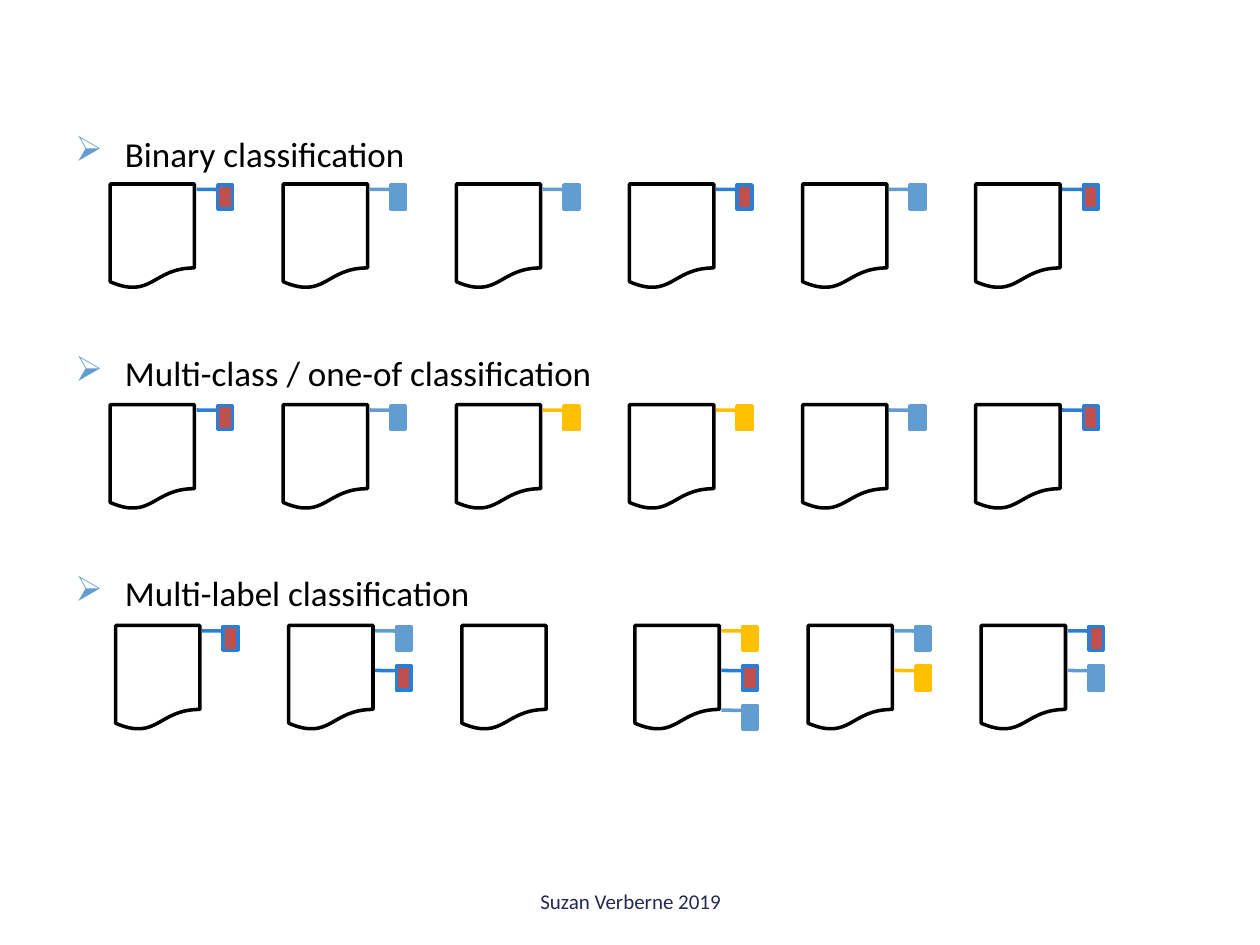
from lxml import etree
from pptx import Presentation
from pptx.dml.color import RGBColor
from pptx.enum import shapes, text
from pptx.oxml import ns
from pptx.util import Cm, Pt

COLORS = {"black": "000000", "white": "FFFFFF", "navy": "242852", "sky": "629DD1",
          "blue": "297FD5", "red": "C0504D", "gold": "FFC000"}
TAGS = {"A": ("red", "blue"), "B": ("sky", "sky"), "C": ("gold", "gold")}
ROWS = [
    ("Binary classification", 2.22, ["A", "B", "B", "A", "B", "A"]),
    ("Multi-class / one-of classification", 2.22, ["A", "B", "C", "C", "B", "A"]),
    ("Multi-label classification", 2.33, ["A", "BA", "", "CAB", "BC", "AB"]),
]
FOOTER = "Suzan Verberne 2019"

ROW_TOP, ROW_PITCH, COLUMN_PITCH = 3.71, 4.45, 3.49
DOCUMENT_SIZE, TAG_SIZE = (1.7, 2.11), (0.3, 0.48)
TAG_LEFT, TAG_TOP, TAG_PITCH = 2.17, 0.02, 0.8
TAG_LEADER = [0.19, -0.08, 0.19, -0.17, 0.18, -1.42]


def color(name):
    return RGBColor.from_string(COLORS[name])


def add_bullet(para, symbol, tint, indent):
    properties = para._p.get_or_add_pPr()
    properties.set("marL", str(Cm(indent)))
    properties.set("indent", str(-Cm(indent)))
    holder = etree.SubElement(properties, ns.qn("a:buClr"))
    etree.SubElement(holder, ns.qn("a:srgbClr"), val=COLORS[tint])
    etree.SubElement(properties, ns.qn("a:buChar"), char=symbol)


def add_text(page, lines, area, size, tint, align=text.PP_ALIGN.LEFT,
             anchor=text.MSO_ANCHOR.TOP, bullet=None, gap=0):
    frame = page.shapes.add_textbox(*map(Cm, area)).text_frame
    frame.word_wrap = True
    frame.vertical_anchor = anchor
    for index, line in enumerate(lines):
        para = frame.add_paragraph() if index else frame.paragraphs[0]
        para.alignment = align
        if index:
            para.space_before = Pt(gap)
        if bullet:
            add_bullet(para, bullet, "sky", 1)
        span = para.add_run()
        span.text = line
        span.font.name = "Calibri"
        span.font.size = Pt(size)
        span.font.color.rgb = color(tint)


def add_outlined(group, kind, left, top, size, fill, line):
    shape = group.shapes.add_shape(kind, *map(Cm, (left, top, *size)))
    shape.shadow.inherit = False
    shape.fill.solid()
    shape.fill.fore_color.rgb = color(fill)
    shape.line.color.rgb = color(line)
    shape.line.width = Pt(2)
    return shape


def add_document(page, left, top, tags):
    group = page.shapes.add_group_shape()
    add_outlined(group, shapes.MSO_SHAPE.FLOWCHART_DOCUMENT, left, top,
                 DOCUMENT_SIZE, "white", "black")
    for index, tag in enumerate(tags):
        callout = add_outlined(group, shapes.MSO_SHAPE.LINE_CALLOUT_2, left + TAG_LEFT,
                               top + TAG_TOP + index * TAG_PITCH, TAG_SIZE, *TAGS[tag])
        for position, value in enumerate(TAG_LEADER):
            callout.adjustments[position] = value


def main():
    deck = Presentation()
    deck.slide_width, deck.slide_height = Cm(25.4), Cm(19.05)
    page = deck.slides.add_slide(deck.slide_layouts[6])
    add_text(page, [title for title, _, _ in ROWS], (1.27, 2.54, 22.86, 14.8),
             20, "black", bullet="➢", gap=101.6)
    for row, (_, left, documents) in enumerate(ROWS):
        for column, tags in enumerate(documents):
            add_document(page, left + column * COLUMN_PITCH,
                         ROW_TOP + row * ROW_PITCH, tags)
    add_text(page, [FOOTER], (8.69, 17.65, 8.05, 1.02), 12, "navy",
             align=text.PP_ALIGN.CENTER, anchor=text.MSO_ANCHOR.MIDDLE)
    deck.save("out.pptx")


if __name__ == "__main__":
    main()
